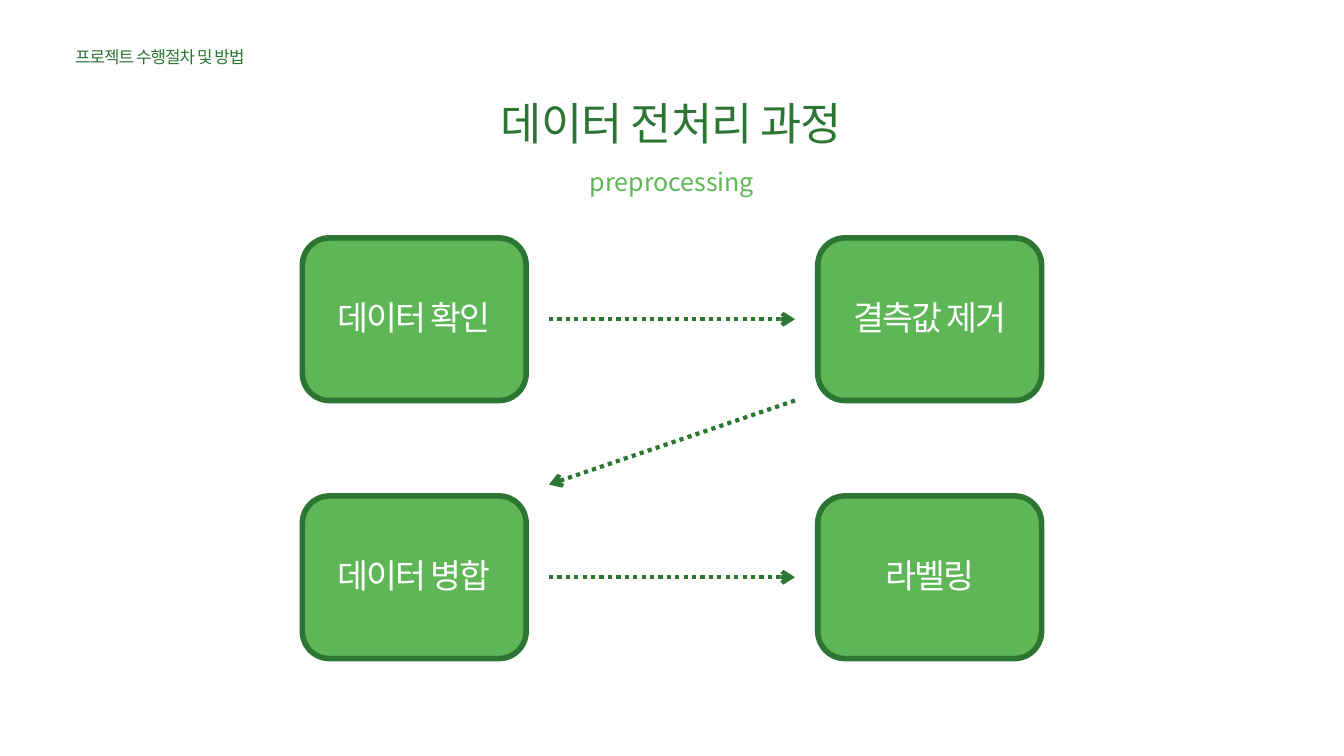
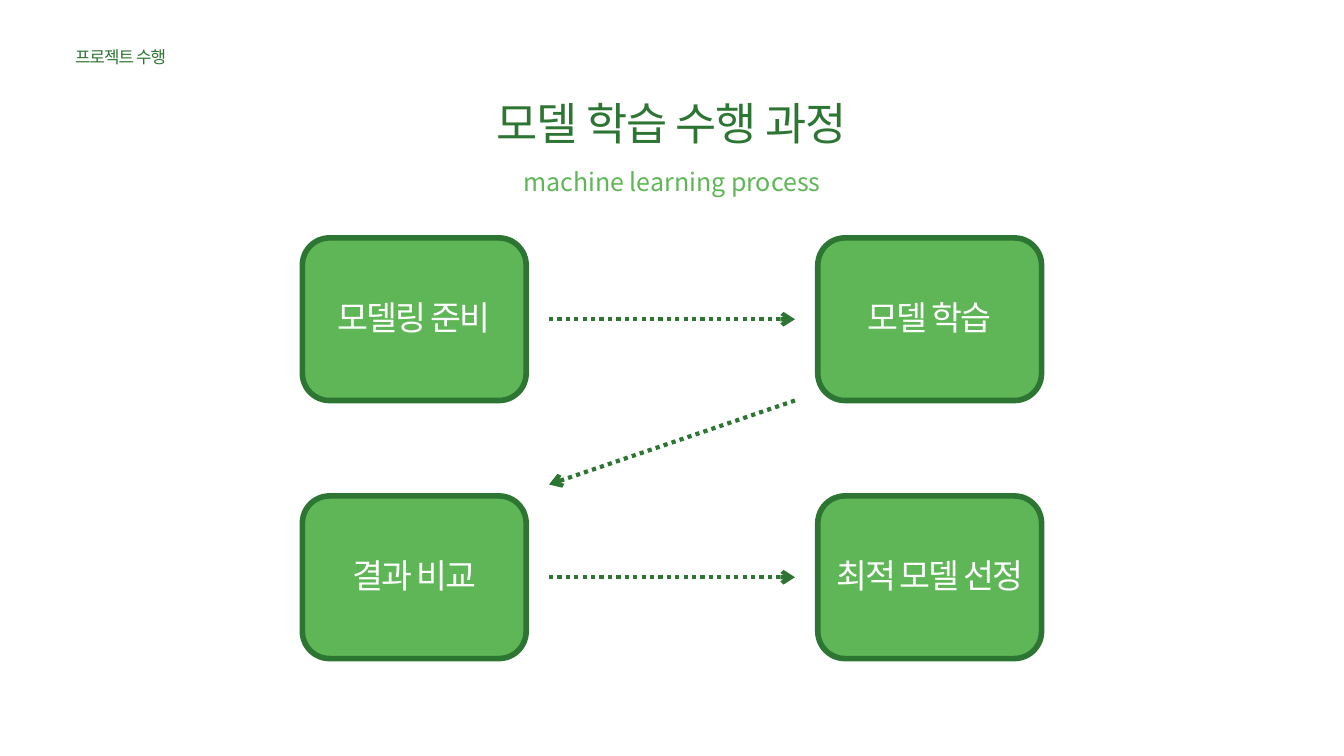
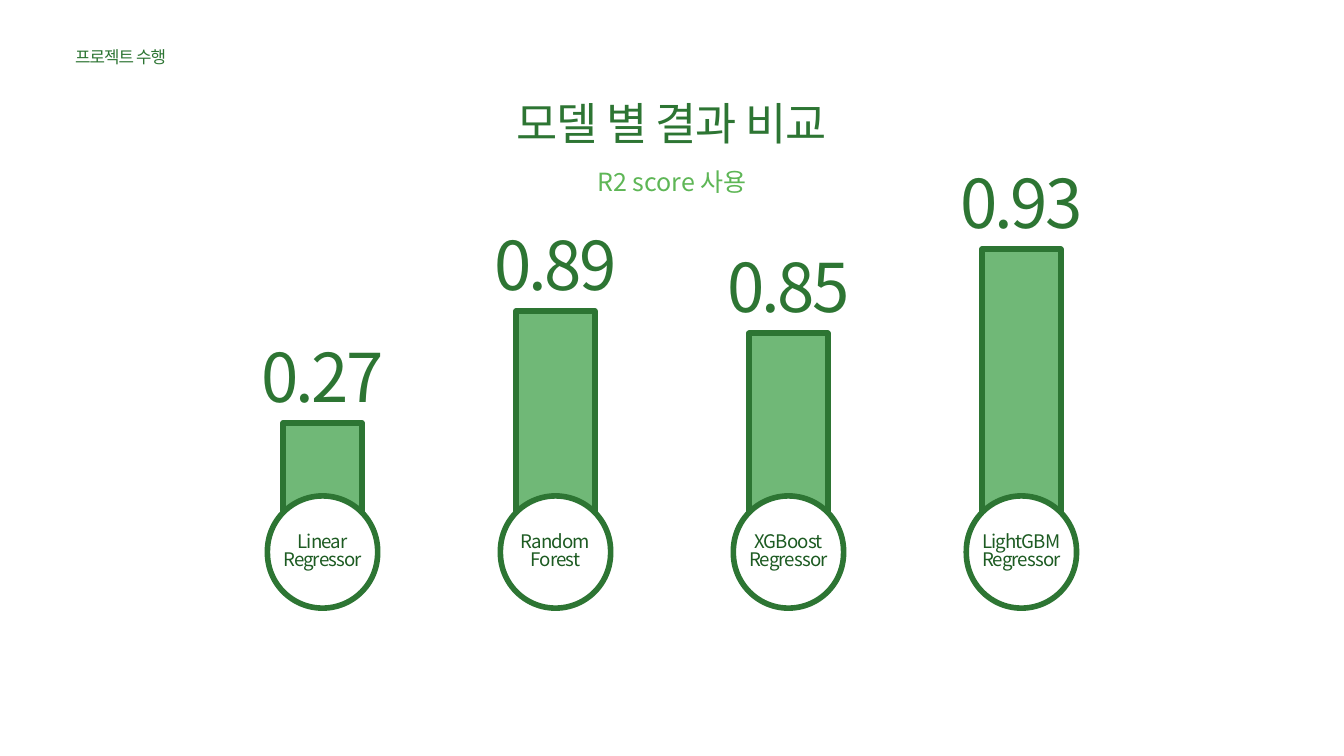
from lxml.etree import SubElement
from pptx import Presentation
from pptx.dml.color import RGBColor
from pptx.enum.dml import MSO_LINE
from pptx.enum.shapes import MSO_CONNECTOR, MSO_SHAPE
from pptx.enum.text import MSO_ANCHOR, PP_ALIGN
from pptx.oxml.ns import qn
from pptx.util import Inches, Pt

FONT = "Noto Sans CJK KR"
DARK_GREEN = RGBColor(0x2D, 0x75, 0x33)
DEEP_GREEN = RGBColor(0x1D, 0x5B, 0x22)
GREEN = RGBColor(0x5E, 0xB6, 0x56)
BAR_GREEN = RGBColor(0x70, 0xB8, 0x77)
WHITE = RGBColor(0xFF, 0xFF, 0xFF)

SLIDE_WIDTH, SLIDE_HEIGHT = 20, 11.25
FLOW_BOX = (4.5, 3.54, 11, 6.26)
BARS_BOX = (3.98, 3.71, 12.04, 5.34)

FLOWS = [
    ("프로젝트 수행절차 및 방법", "데이터 전처리 과정", "preprocessing",
     ["데이터 확인", "결측값 제거", "데이터 병합", "라벨링"]),
    ("프로젝트 수행", "모델 학습 수행 과정", "machine learning process",
     ["모델링 준비", "모델 학습", "결과 비교", "최적 모델 선정"]),
]
SCORES = [
    ("Linear\nRegressor", "0.27", 1.42),
    ("Random\nForest", "0.89", 3.08),
    ("XGBoost\nRegressor", "0.85", 2.75),
    ("LightGBM\nRegressor", "0.93", 4),
]


def write_text(shape, text, size, color, tracking=0, spacing=1.0, align=PP_ALIGN.CENTER,
               anchor=MSO_ANCHOR.MIDDLE, wrap=True, side_inset=0):
    frame = shape.text_frame
    frame.word_wrap = wrap
    frame.vertical_anchor = anchor
    frame.margin_left = frame.margin_right = Inches(side_inset)
    frame.margin_top = frame.margin_bottom = 0
    frame.text = text
    for paragraph in frame.paragraphs:
        paragraph.alignment = align
        paragraph.line_spacing = spacing
        for run in paragraph.runs:
            run.font.size = Pt(size)
            run.font.name = FONT
            run.font.color.rgb = color
            properties = run.font._element
            properties.set("spc", str(tracking * 100))
            SubElement(properties, qn("a:ea")).set("typeface", FONT)


def add_text(slide, box, text, **text_format):
    write_text(slide.shapes.add_textbox(*map(Inches, box)), text, **text_format)


def add_outlined(slide, kind, box, fill):
    shape = slide.shapes.add_shape(kind, *map(Inches, box))
    shape.shadow.inherit = False
    shape.fill.solid()
    shape.fill.fore_color.rgb = fill
    shape.line.color.rgb = DARK_GREEN
    shape.line.width = Pt(6)
    return shape


def add_dotted_arrow(slide, start, end):
    arrow = slide.shapes.add_connector(MSO_CONNECTOR.STRAIGHT, *map(Inches, start + end))
    arrow.line.color.rgb = DARK_GREEN
    arrow.line.width = Pt(4.5)
    arrow.line.dash_style = MSO_LINE.ROUND_DOT
    properties = arrow._element.spPr
    SubElement(properties.find(qn("a:ln")), qn("a:tailEnd")).set("type", "arrow")
    SubElement(properties, qn("a:effectLst"))


def add_heading(slide, section, title, subtitle):
    add_text(slide, (1.02, 0.7, 5.16, 0.45), section, size=18, color=DARK_GREEN, tracking=-1,
             align=PP_ALIGN.JUSTIFY, anchor=MSO_ANCHOR.TOP, side_inset=0.1)
    add_text(slide, (3.87, 1.5, 12.25, 1.26), title, size=48, color=DARK_GREEN, tracking=-1,
             spacing=0.93, anchor=MSO_ANCHOR.TOP)
    add_text(slide, (6, 2.48, 8, 0.54), subtitle, size=26.8, color=GREEN, anchor=MSO_ANCHOR.TOP)


def add_flow(slide, box, steps):
    left, top, width, height = box
    step_width, step_height, arrow_gap = 3.33, 2.42, 0.34
    for index, step in enumerate(steps):
        row, column = divmod(index, 2)
        step_left = left + column * (width - step_width)
        step_top = top + row * (height - step_height)
        shape = add_outlined(slide, MSO_SHAPE.ROUNDED_RECTANGLE,
                             (step_left, step_top, step_width, step_height), GREEN)
        write_text(shape, step, size=36, color=WHITE, tracking=-2, spacing=0.95, wrap=False)

    arrow_left = left + step_width + arrow_gap
    arrow_right = left + width - step_width - arrow_gap
    bottom_row = top + height - step_height
    for row_top in (top, bottom_row):
        middle = row_top + step_height / 2
        add_dotted_arrow(slide, (arrow_left, middle), (arrow_right, middle))
    add_dotted_arrow(slide, (arrow_right, top + step_height), (arrow_left, bottom_row - 0.17))


def add_score_bars(slide, box, scores):
    left, top, width, height = box
    circle_width, circle_height = 1.64, 1.67
    bar_width, number_width, number_height = 1.17, 2.29, 1.29
    pitch = (width - circle_width) / (len(scores) - 1)
    circle_top = top + height - circle_height
    bar_bottom = top + max(bar_height for _, _, bar_height in scores)
    for index, (model, score, bar_height) in enumerate(scores):
        center = left + circle_width / 2 + index * pitch
        bar_top = bar_bottom - bar_height
        add_outlined(slide, MSO_SHAPE.RECTANGLE,
                     (center - bar_width / 2, bar_top, bar_width, bar_height), BAR_GREEN)
        circle = add_outlined(slide, MSO_SHAPE.ROUNDED_RECTANGLE,
                              (center - circle_width / 2, circle_top, circle_width, circle_height),
                              WHITE)
        circle.adjustments[0] = 0.5
        write_text(circle, model, size=20, color=DEEP_GREEN, tracking=-1, spacing=0.82, wrap=False)
        add_text(slide, (center - number_width / 2, bar_top - number_height,
                         number_width, number_height),
                 score, size=72, color=DARK_GREEN, tracking=-3, spacing=0.95)


def main():
    presentation = Presentation()
    presentation.slide_width = Inches(SLIDE_WIDTH)
    presentation.slide_height = Inches(SLIDE_HEIGHT)
    blank = presentation.slide_layouts[6]

    for section, title, subtitle, steps in FLOWS:
        slide = presentation.slides.add_slide(blank)
        add_heading(slide, section, title, subtitle)
        add_flow(slide, FLOW_BOX, steps)

    slide = presentation.slides.add_slide(blank)
    add_heading(slide, "프로젝트 수행", "모델 별 결과 비교", "R2 score 사용")
    add_score_bars(slide, BARS_BOX, SCORES)

    presentation.save("out.pptx")


if __name__ == "__main__":
    main()
